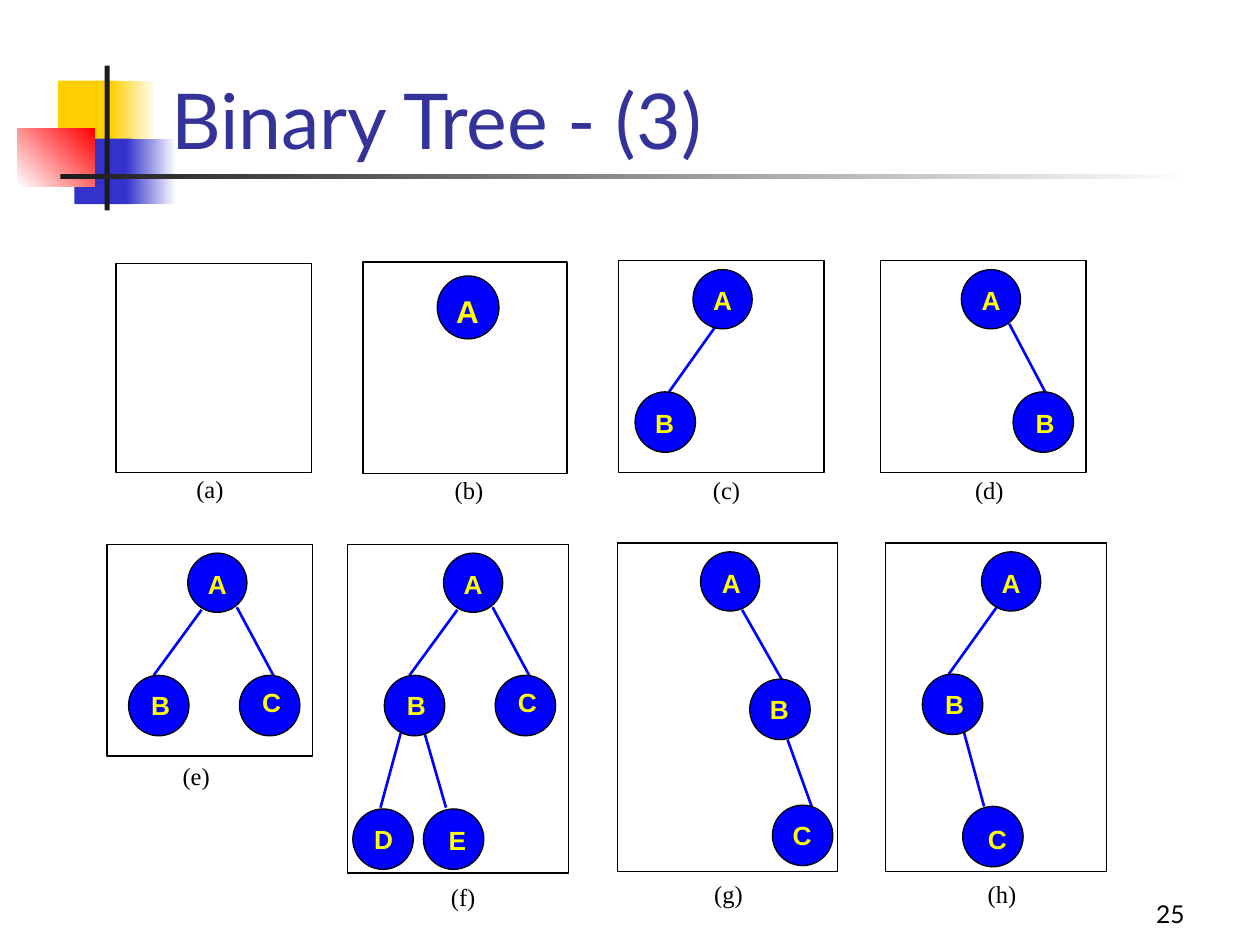
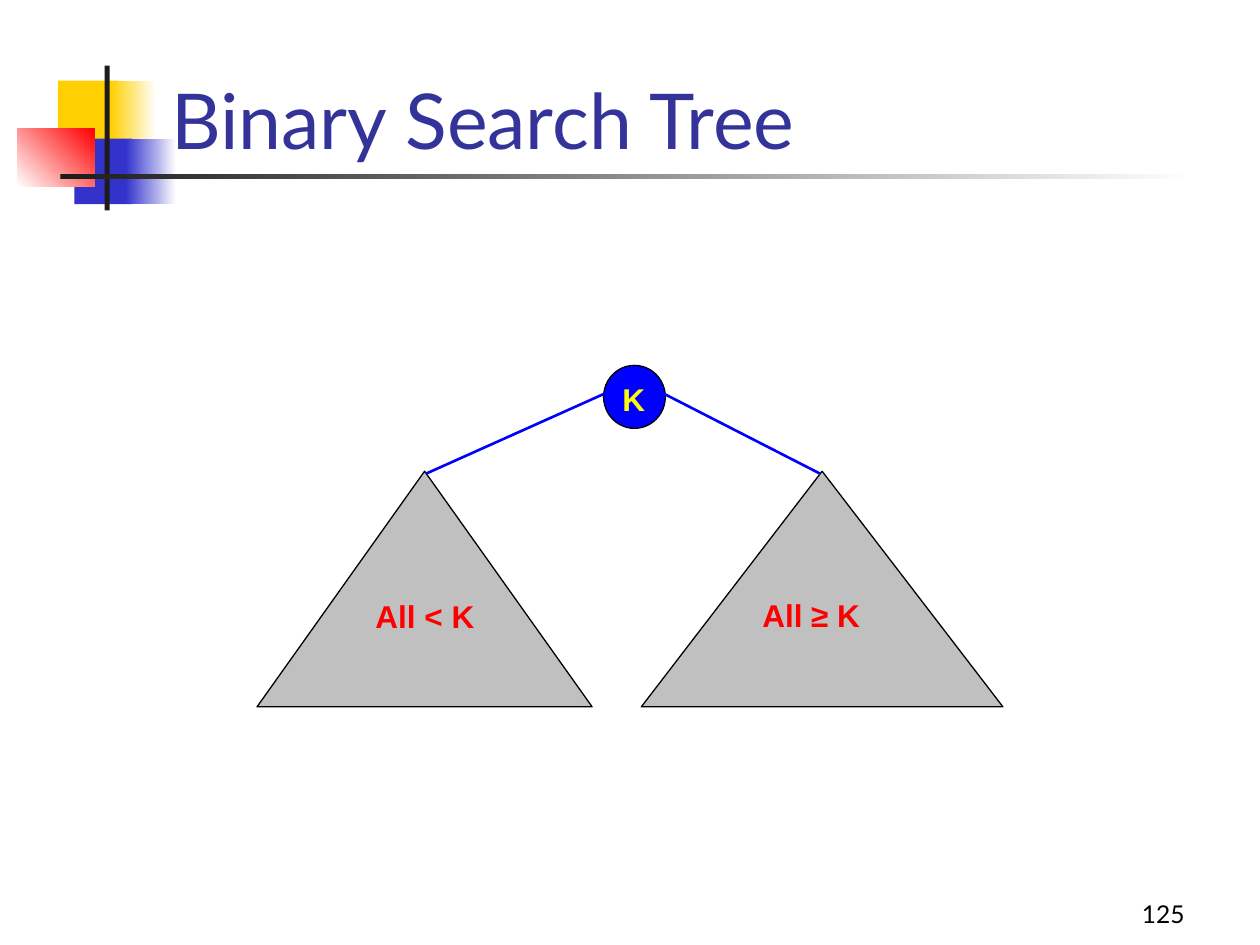
from lxml.etree import SubElement
from pptx import Presentation
from pptx.dml.color import RGBColor
from pptx.enum.shapes import MSO_CONNECTOR, MSO_SHAPE
from pptx.enum.text import MSO_ANCHOR, MSO_AUTO_SIZE, PP_ALIGN
from pptx.oxml.ns import qn
from pptx.util import Inches, Pt

BLACK, WHITE, BLUE = "000000", "FFFFFF", "0000FF"
YELLOW, RED, GREY = "FFFF00", "FF0000", "C0C0C0"
GOLD, INDIGO, DARK, NAVY = "FFCF01", "3333CC", "1C1C1C", "333399"

BANDS = [
    ((0.46, 0.64, 0.48, 0.52), (GOLD,), 0),
    ((0.88, 0.64, 0.36, 0.52), (GOLD, WHITE), 0),
    ((0.59, 1.1, 0.46, 0.52), (INDIGO,), 0),
    ((1, 1.1, 0.4, 0.52), (INDIGO, WHITE), 0),
    ((0.14, 1.02, 0.61, 0.46), (WHITE, RED), 45),
    ((0.83, 0.52, 0.04, 1.15), (DARK,), 0),
    ((0.48, 1.38, 9, 0.04), (DARK, WHITE), 0),
]


def paint(code):
    """Turn a hex string into a colour."""
    return RGBColor.from_string(code)


class Deck:
    """Hold the style, the file and the current slide."""

    def __init__(self):
        self.file = Presentation()
        self.file.slide_width, self.file.slide_height = Inches(10), Inches(7.5)

    def start(self, title, number):
        """Add a slide with its bands, title and number."""
        layout = self.file.slide_layouts[6]
        self.shapes = self.file.slides.add_slide(layout).shapes
        for box, fills, angle in BANDS:
            self.shape(MSO_SHAPE.RECTANGLE, box, fills, angle=angle)
        self.text(number, (7.42, 6.92, 2.08, 0.5), 14, "Lato", BLACK,
                  anchor=MSO_ANCHOR.BOTTOM, align=PP_ALIGN.RIGHT)
        self.text(title, (1.26, 0.11, 8.52, 1.25), 44, "Lato", NAVY,
                  anchor=MSO_ANCHOR.BOTTOM)

    def shape(self, kind, box, fills, line=None, angle=0):
        """Add a preset shape with a plain or blended fill."""
        item = self.shapes.add_shape(kind, *map(Inches, box))
        item.shadow.inherit = False
        if len(fills) == 1:
            item.fill.solid()
            item.fill.fore_color.rgb = paint(fills[0])
        else:
            item.fill.gradient()
            item.fill.gradient_angle = angle
            for place, (stop, code) in enumerate(zip(item.fill.gradient_stops, fills)):
                stop.color.rgb = paint(code)
                stop.position = place
        if line:
            item.line.color.rgb = paint(line)
            item.line.width = Pt(0.75)
        else:
            item.line.fill.background()

    def text(self, words, box, size, font, code, bold=False, inset=(0.1, 0.05),
             anchor=MSO_ANCHOR.TOP, align=PP_ALIGN.LEFT, wrap=True):
        """Add a text box of one paragraph."""
        frame = self.shapes.add_textbox(*map(Inches, box)).text_frame
        frame.word_wrap = wrap
        frame.auto_size = MSO_AUTO_SIZE.NONE if wrap else MSO_AUTO_SIZE.SHAPE_TO_FIT_TEXT
        frame.margin_left = frame.margin_right = Inches(inset[0])
        frame.margin_top = frame.margin_bottom = Inches(inset[1])
        frame.vertical_anchor = anchor
        line = frame.paragraphs[0]
        line.text, line.alignment = words, align
        line.font.name, line.font.size, line.font.bold = font, Pt(size), bold
        line.font.color.rgb = paint(code)

    def label(self, words, box, code=YELLOW):
        """Add a large bold label."""
        self.text(words, box, 18, "Arial", code, True, (0.15, 0.07))

    def disc(self, box):
        """Add the round body of a node."""
        self.shape(MSO_SHAPE.FLOWCHART_CONNECTOR, box, (BLUE,), BLACK)

    def node(self, name, x, y, dx=0.03, dy=0.06):
        """Add a small node with its letter."""
        size = 0.47 if name == "A" else 0.48
        self.disc((x, y, size, size))
        self.text(name, (x + dx, y + dy, 0.38, 0.35), 15, "Arial", YELLOW,
                  True, (0.13, 0.06))

    def edge(self, *ends):
        """Add a line between two points."""
        item = self.shapes.add_connector(MSO_CONNECTOR.STRAIGHT, *map(Inches, ends))
        item.line.color.rgb = paint(BLUE)
        item.line.width = Pt(1.5)
        SubElement(item._element.spPr, qn("a:effectLst"))

    def tree(self, mark, spot, frame, nodes=(), edges=()):
        """Add a framed tree with its caption."""
        self.shape(MSO_SHAPE.RECTANGLE, frame, (WHITE,), BLACK)
        for ends in edges:
            self.edge(*ends)
        for node in nodes:
            self.node(*node)
        self.text(f"({mark})", (*spot, 0.45, 0.34), 14, "Times New Roman", BLACK,
                  wrap=False)


def fork(shift):
    """Give the nodes and edges of a root with two children."""
    nodes = [("A", 1.49, 4.39), ("B", 1.02, 5.36, 0.05, 0.05), ("C", 1.9, 5.36, 0.05, 0.03)]
    edges = [(1.6, 4.84, 1.22, 5.36), (1.88, 4.82, 2.17, 5.36)]
    return ([(name, x + shift, *rest) for name, x, *rest in nodes],
            [(a + shift, b, c + shift, d) for a, b, c, d in edges])


def trees(deck):
    """Build the slide of eight small trees."""
    deck.start("Binary Tree - (3)", "25")
    deck.tree("a", (1.46, 3.71), (0.92, 2.09, 1.55, 1.66))
    deck.tree("b", (3.51, 3.72), (2.88, 2.08, 1.62, 1.68))
    deck.disc((3.47, 2.19, 0.49, 0.5))
    deck.label("A", (3.47, 2.25, 0.45, 0.34))
    deck.tree("c", (5.56, 3.72), (4.91, 2.07, 1.63, 1.68),
              [("A", 5.5, 2.14), ("B", 5.04, 3.11)],
              [(5.68, 2.59, 5.31, 3.11)])
    deck.tree("d", (7.64, 3.72), (6.99, 2.07, 1.63, 1.68),
              [("A", 7.63, 2.14), ("B", 8.04, 3.11, 0.05)],
              [(8.01, 2.57, 8.3, 3.12)])
    deck.tree("e", (1.35, 5.99), (0.85, 4.32, 1.63, 1.68), *fork(0))
    nodes, edges = fork(2.03)
    deck.tree("f", (3.48, 6.95), (2.76, 4.32, 1.75, 2.61),
              nodes + [("D", 2.8, 6.42, 0.04, 0.05), ("E", 3.36, 6.42, 0.07)],
              edges + [(3.18, 5.82, 3.02, 6.41), (3.37, 5.82, 3.54, 6.41)])
    deck.tree("g", (5.57, 6.93), (4.9, 4.31, 1.75, 2.61),
              [("A", 5.56, 4.38, 0.04), ("B", 5.95, 5.39, 0.03, 0.05),
               ("C", 6.13, 6.39, 0.03, 0.05)],
              [(5.89, 4.84, 6.22, 5.42), (6.25, 5.87, 6.46, 6.45)])
    deck.tree("h", (7.74, 6.93), (7.03, 4.31, 1.75, 2.61),
              [("A", 7.79, 4.38), ("B", 7.32, 5.35, 0.05, 0.05),
               ("C", 7.64, 6.4, 0.07, 0.07)],
              [(7.91, 4.82, 7.53, 5.35), (7.65, 5.81, 7.81, 6.4)])


def search(deck):
    """Build the slide of the search tree rule."""
    deck.start("Binary Search Tree", "125")
    for left, width in ((5.09, 2.87), (2.04, 2.66)):
        deck.shape(MSO_SHAPE.ISOSCELES_TRIANGLE, (left, 3.74, width, 1.87), (GREY,), BLACK)
    deck.disc((4.79, 2.9, 0.49, 0.5))
    deck.edge(4.83, 3.11, 3.38, 3.76)
    deck.edge(5.24, 3.11, 6.51, 3.76)
    deck.label("K", (4.79, 2.95, 0.45, 0.44))
    deck.label("All < K", (2.83, 4.67, 1.12, 0.41), RED)
    deck.label("All ≥ K", (5.9, 4.66, 1.08, 0.41), RED)


def main():
    """Build and save the file."""
    deck = Deck()
    trees(deck)
    search(deck)
    deck.file.save("out.pptx")


if __name__ == "__main__":
    main()
